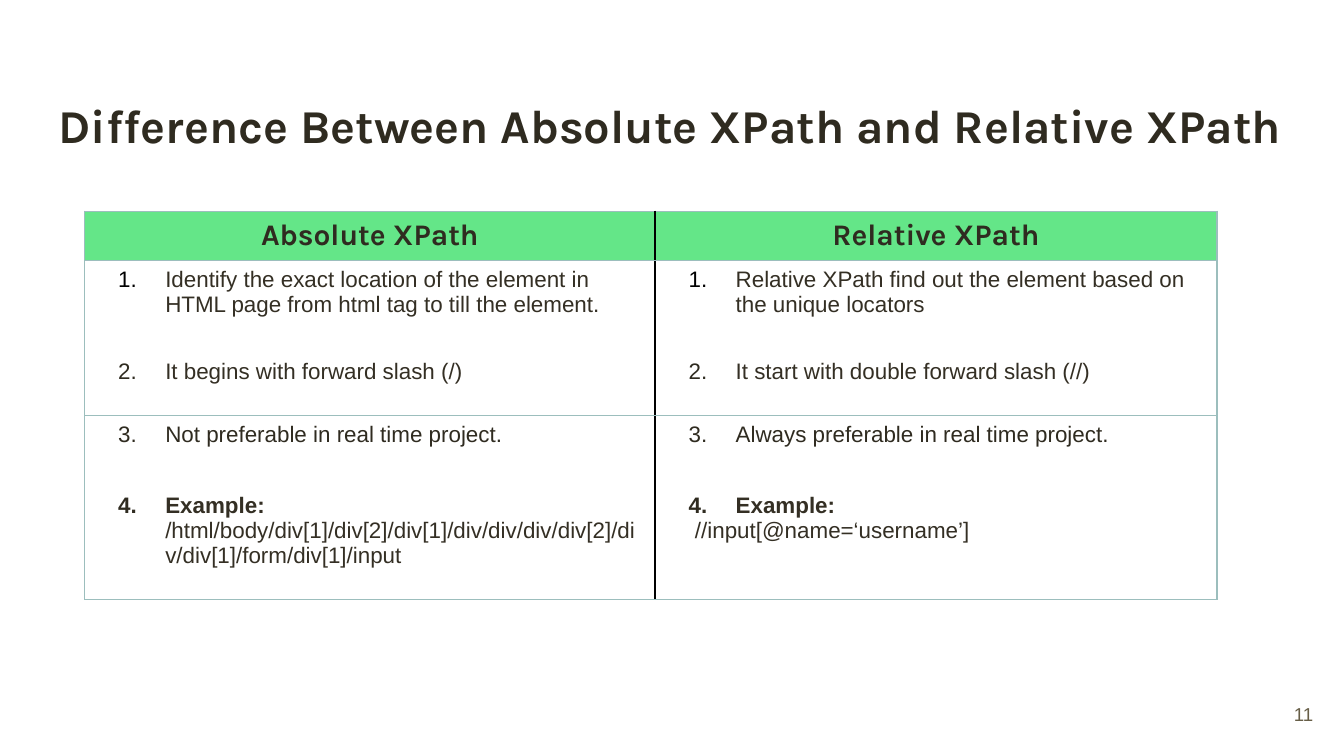
from dataclasses import dataclass

from lxml import etree
from pptx import Presentation
from pptx.dml.color import RGBColor
from pptx.enum import text
from pptx.oxml.ns import qn
from pptx.util import Cm, Pt


@dataclass(frozen=True)
class Theme:
    heading_font: str = "Karla"
    body_font: str = "Arial"
    ink: str = "2F2B20"
    body_ink: str = "342F24"
    muted: str = "675E47"
    header_fill: str = "64E688"
    rule: str = "9CBEBD"
    black: str = "000000"
    title_size: float = 25.2
    header_size: float = 16
    body_size: float = 12
    number_size: float = 10
    line_width: float = 0.75


@dataclass(frozen=True)
class Point:
    """One numbered row: both statements, and its colours."""
    absolute: str
    relative: str
    ink: str
    number_ink: str


THEME = Theme()
HEADERS = ("Absolute XPath", "Relative XPath")
POINTS = (
    Point("Identify the exact location of the element in HTML page from html tag to till the element.",
          "Relative XPath find out the element based on the unique locators",
          THEME.body_ink, THEME.black),
    Point("It begins with forward slash (/)", "It start with double forward slash (//)",
          THEME.body_ink, THEME.ink),
    Point("Not preferable in real time project.", "Always preferable in real time project.",
          THEME.ink, THEME.ink),
)
ABSOLUTE_EXAMPLE = "/html/body/div[1]/div[2]/div[1]/div/div/div/div[2]/div/div[1]/form/div[1]/input"
RELATIVE_EXAMPLE = "//input[@name=‘username’]"
COLUMN_WIDTHS = (Cm(10.78), Cm(10.62))
ROW_HEIGHTS = (Cm(0.93), Cm(1.73), Cm(1.19), Cm(1.35), Cm(2.13))
RULED_EDGES = (0, 1, 3, 5)  # row edges that carry a horizontal line


def style(paragraph, font: str, size: float, color: str, bold: bool = False) -> None:
    paragraph.font.name = font
    paragraph.font.size = Pt(size)
    paragraph.font.bold = bold
    paragraph.font.color.rgb = RGBColor.from_string(color)


def add_label(slide, box: tuple, words: str):
    """Add a one-line text box and return its paragraph."""
    shape = slide.shapes.add_textbox(*box)
    frame = shape.text_frame
    frame.margin_left = frame.margin_right = frame.margin_top = frame.margin_bottom = Cm(0.25)
    frame.paragraphs[0].text = words
    return frame, frame.paragraphs[0]


def set_indent(paragraph, left: int, first: int = 0) -> None:
    properties = paragraph._p.get_or_add_pPr()
    properties.set("marL", str(left))
    properties.set("indent", str(first))


def add_number(paragraph, start: int, color: str) -> None:
    set_indent(paragraph, Cm(1.27), Cm(-0.89))
    properties = paragraph._p.get_or_add_pPr()
    bullet_color = etree.SubElement(properties, qn("a:buClr"))
    etree.SubElement(bullet_color, qn("a:srgbClr"), val=color)
    etree.SubElement(properties, qn("a:buFont"), typeface=THEME.body_font)
    etree.SubElement(properties, qn("a:buAutoNum"), type="arabicPeriod", startAt=str(start))


def set_borders(cell, row: int, column: int) -> None:
    inner, outer = THEME.black, THEME.rule
    sides = {
        "L": inner if column else outer,
        "R": outer if column else inner,
        "T": outer if row in RULED_EDGES else None,
        "B": outer if row + 1 in RULED_EDGES else None,
    }
    properties = cell._tc.get_or_add_tcPr()
    for side, color in sides.items():
        line = etree.SubElement(properties, qn(f"a:ln{side}"), w=str(Pt(THEME.line_width)))
        if color:
            fill = etree.SubElement(line, qn("a:solidFill"))
            etree.SubElement(fill, qn("a:srgbClr"), val=color)
        else:
            etree.SubElement(line, qn("a:noFill"))


def fill_header(cell, words: str) -> None:
    paragraph = cell.text_frame.paragraphs[0]
    paragraph.text = words
    paragraph.alignment = text.PP_ALIGN.CENTER
    style(paragraph, THEME.heading_font, THEME.header_size, THEME.ink, bold=True)


def fill_point(cell, words: str, number: int, ink: str, number_ink: str):
    paragraph = cell.text_frame.paragraphs[0]
    paragraph.text = words
    add_number(paragraph, number, number_ink)
    style(paragraph, THEME.body_font, THEME.body_size, ink)
    return paragraph


def fill_example(cell, words: str, code: str):
    paragraph = fill_point(cell, words, len(POINTS) + 1, THEME.body_ink, THEME.ink)
    paragraph.runs[0].font.bold = True
    if code:
        paragraph.add_run().text = code


def add_comparison(slide) -> None:
    table = slide.shapes.add_table(
        len(ROW_HEIGHTS), len(COLUMN_WIDTHS), Cm(1.6), Cm(3.99),
        sum(COLUMN_WIDTHS), sum(ROW_HEIGHTS)).table
    table.first_row = table.horz_banding = False
    for column, width in zip(table.columns, COLUMN_WIDTHS):
        column.width = width
    for row, height in zip(table.rows, ROW_HEIGHTS):
        row.height = height

    # Borders and fills
    for row in range(len(ROW_HEIGHTS)):
        for column in range(len(COLUMN_WIDTHS)):
            cell = table.cell(row, column)
            set_borders(cell, row, column)
            if row == 0:
                cell.fill.solid()
                cell.fill.fore_color.rgb = RGBColor.from_string(THEME.header_fill)
            else:
                cell.fill.background()

    # Header and numbered statements
    for column, header in enumerate(HEADERS):
        fill_header(table.cell(0, column), header)
    for number, point in enumerate(POINTS, start=1):
        for column, words in enumerate((point.absolute, point.relative)):
            fill_point(table.cell(number, column), words, number, point.ink, point.number_ink)

    # Examples: one runs on, the other sits on its own line
    last = len(ROW_HEIGHTS) - 1
    fill_example(table.cell(last, 0), "Example: ", ABSOLUTE_EXAMPLE)
    fill_example(table.cell(last, 1), "Example:", "")
    paragraph = table.cell(last, 1).text_frame.add_paragraph()
    paragraph.text = RELATIVE_EXAMPLE
    set_indent(paragraph, Cm(0.5))
    style(paragraph, THEME.body_font, THEME.body_size, THEME.body_ink)


def main() -> None:
    presentation = Presentation()
    presentation.slide_width, presentation.slide_height = Cm(25.4), Cm(14.28)
    slide = presentation.slides.add_slide(presentation.slide_layouts[6])

    # Title
    _, title = add_label(slide, (Cm(0.86), Cm(1.57), Cm(23.67), Cm(1.6)),
                         "Difference Between Absolute XPath and Relative XPath")
    style(title, THEME.heading_font, THEME.title_size, THEME.ink, bold=True)

    # Comparison table
    add_comparison(slide)

    # Slide number
    frame, number = add_label(slide, (Cm(23.55), Cm(12.95), Cm(1.52), Cm(1.09)), "11")
    frame.word_wrap = True
    frame.vertical_anchor = text.MSO_ANCHOR.MIDDLE
    number.alignment = text.PP_ALIGN.RIGHT
    style(number, THEME.body_font, THEME.number_size, THEME.muted)

    presentation.save("out.pptx")


if __name__ == "__main__":
    main()
